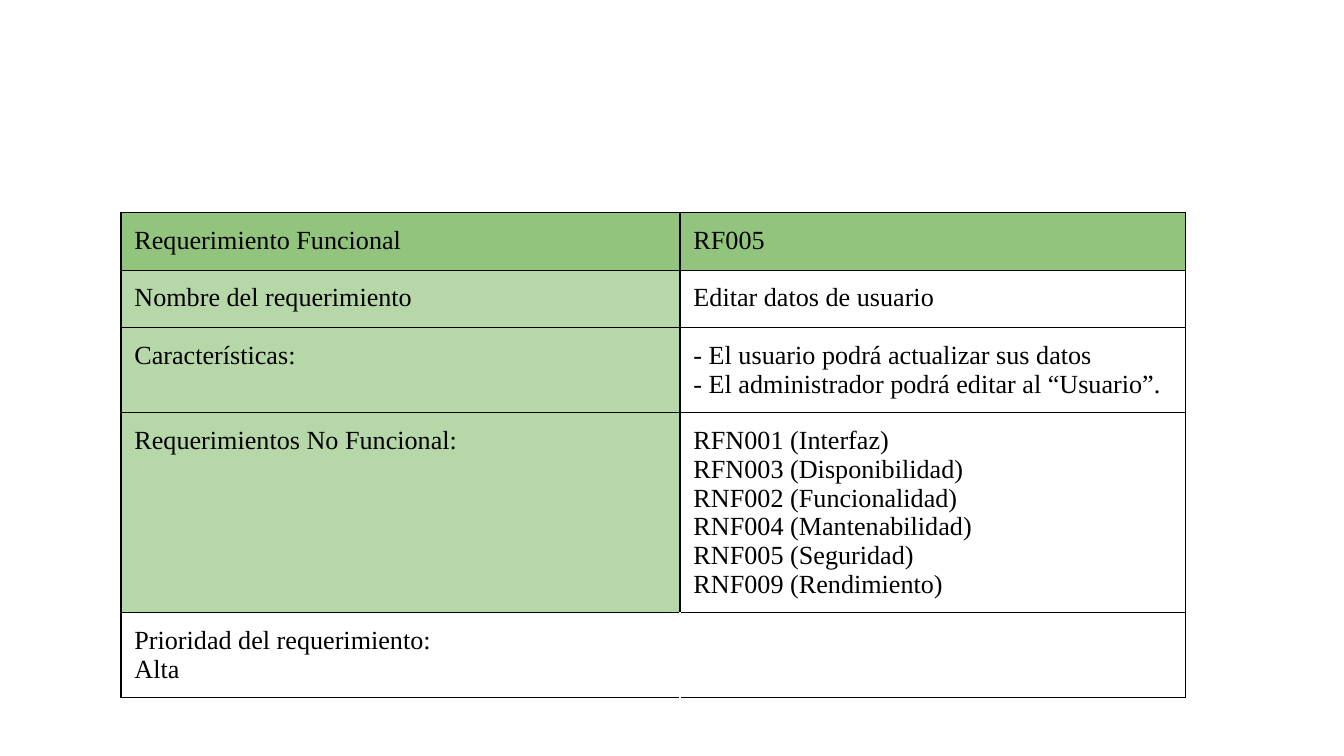
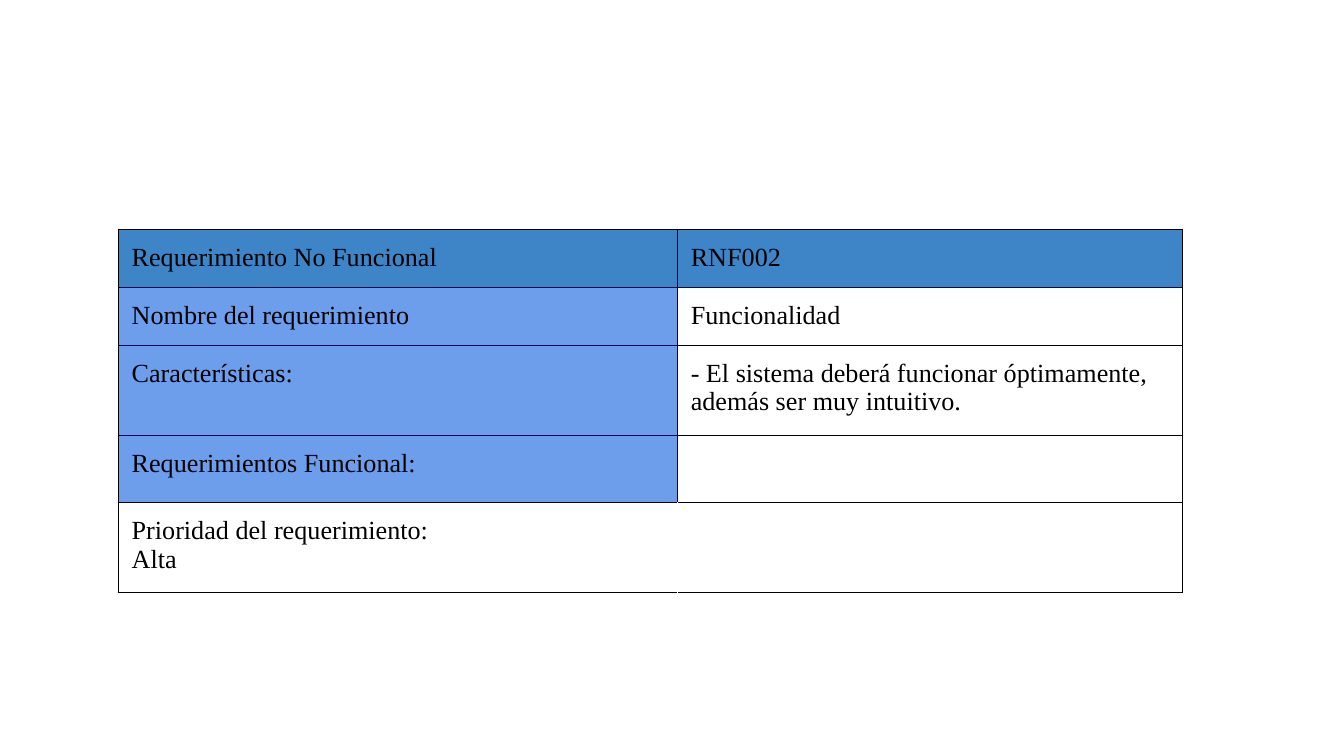
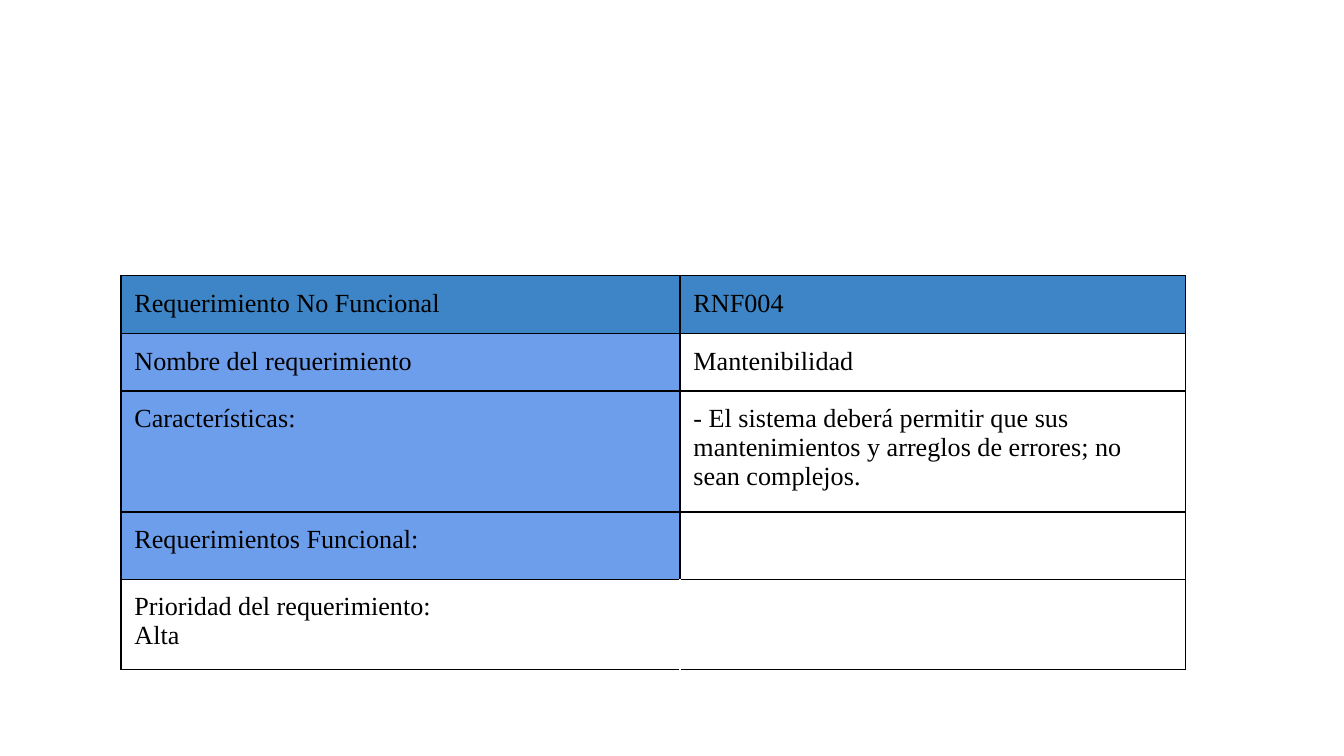
from lxml import etree
from pptx import Presentation
from pptx.dml.color import RGBColor
from pptx.oxml import ns
from pptx.util import Inches, Pt

BLACK = RGBColor(0x00, 0x00, 0x00)
WHITE = RGBColor(0xFF, 0xFF, 0xFF)
GREEN = RGBColor(0x93, 0xC4, 0x7D)
LIGHT_GREEN = RGBColor(0xB6, 0xD7, 0xA8)
BLUE = RGBColor(0x3D, 0x85, 0xC6)
LIGHT_BLUE = RGBColor(0x6D, 0x9E, 0xEB)

FONT = "Times New Roman"
FONT_SIZE = Pt(14)
BORDER_WIDTH = Pt(0.75)
CELL_MARGIN = Inches(0.1)
COLUMN_WIDTHS = (4.16, 3.76)
BLANK_LAYOUT = 6
PRIORITY = "Prioridad del requerimiento:\nAlta"


def set_borders(cell, left=BLACK, right=BLACK):
    """Draw the four cell borders; top and bottom are always black."""
    properties = cell._tc.get_or_add_tcPr()
    sides = {"a:lnL": left, "a:lnR": right, "a:lnT": BLACK, "a:lnB": BLACK}
    for tag, color in sides.items():
        line = etree.SubElement(properties, ns.qn(tag), w=str(BORDER_WIDTH))
        fill = etree.SubElement(line, ns.qn("a:solidFill"))
        etree.SubElement(fill, ns.qn("a:srgbClr"), val=str(color))


def format_cell(cell, content, color):
    cell.margin_left = cell.margin_right = CELL_MARGIN
    cell.margin_top = cell.margin_bottom = CELL_MARGIN
    cell.fill.solid()
    cell.fill.fore_color.rgb = color
    cell.text_frame.text = content
    for paragraph in cell.text_frame.paragraphs:
        paragraph.font.name = FONT
        paragraph.font.size = FONT_SIZE
        paragraph.font.color.rgb = BLACK


def add_requirement(deck, left, top, row_heights, rows, header_color, label_color):
    """Add a slide with one requirement table, closed by the priority row."""
    slide = deck.slides.add_slide(deck.slide_layouts[BLANK_LAYOUT])
    rows = rows + [(PRIORITY, "")]
    frame = slide.shapes.add_table(
        len(rows), len(COLUMN_WIDTHS), Inches(left), Inches(top),
        Inches(sum(COLUMN_WIDTHS)), Inches(sum(row_heights)))
    table = frame.table
    table.first_row = table.horz_banding = False
    for column, width in zip(table.columns, COLUMN_WIDTHS):
        column.width = Inches(width)
    for row, height in zip(table.rows, row_heights):
        row.height = Inches(height)

    last = len(rows) - 1
    for index, (label, value) in enumerate(rows):
        label_cell, value_cell = table.cell(index, 0), table.cell(index, 1)
        divider = WHITE if index == last else BLACK
        set_borders(label_cell, right=divider)
        set_borders(value_cell, left=divider)
        if index == 0:
            colors = header_color, header_color
        elif index == last:
            colors = WHITE, WHITE
        else:
            colors = label_color, WHITE
        format_cell(label_cell, label, colors[0])
        format_cell(value_cell, value, colors[1])


def add_functional(deck, left, top, row_heights, code, name, features, related):
    rows = [
        ("Requerimiento Funcional", code),
        ("Nombre del requerimiento", name),
        ("Características:", features),
        ("Requerimientos No Funcional:", related),
    ]
    add_requirement(deck, left, top, row_heights, rows, GREEN, LIGHT_GREEN)


def add_non_functional(deck, left, top, row_heights, code, name, features):
    rows = [
        ("Requerimiento No Funcional", code),
        ("Nombre del requerimiento", name),
        ("Características:", features),
        ("Requerimientos Funcional:", ""),
    ]
    add_requirement(deck, left, top, row_heights, rows, BLUE, LIGHT_BLUE)


def main():
    deck = Presentation()
    deck.slide_width = Inches(10)
    deck.slide_height = deck.slide_width * 9 // 16

    add_functional(
        deck, 0.9, 1.58, (0.43, 0.43, 0.63, 1.49, 0.63),
        "RF005", "Editar datos de usuario",
        "- El usuario podrá actualizar sus datos\n"
        "- El administrador podrá editar al “Usuario”.",
        "RFN001 (Interfaz)\nRFN003 (Disponibilidad)\nRNF002 (Funcionalidad)\n"
        "RNF004 (Mantenabilidad)\nRNF005 (Seguridad)\nRNF009 (Rendimiento)")
    add_non_functional(
        deck, 0.88, 1.71, (0.43, 0.43, 0.67, 0.5, 0.67),
        "RNF002", "Funcionalidad",
        "- El sistema deberá funcionar óptimamente, además ser muy intuitivo.")
    add_non_functional(
        deck, 0.9, 2.05, (0.43, 0.43, 0.9, 0.5, 0.67),
        "RNF004", "Mantenibilidad",
        "- El sistema deberá permitir que sus mantenimientos y arreglos de "
        "errores; no sean complejos.")

    deck.save("out.pptx")


if __name__ == "__main__":
    main()
